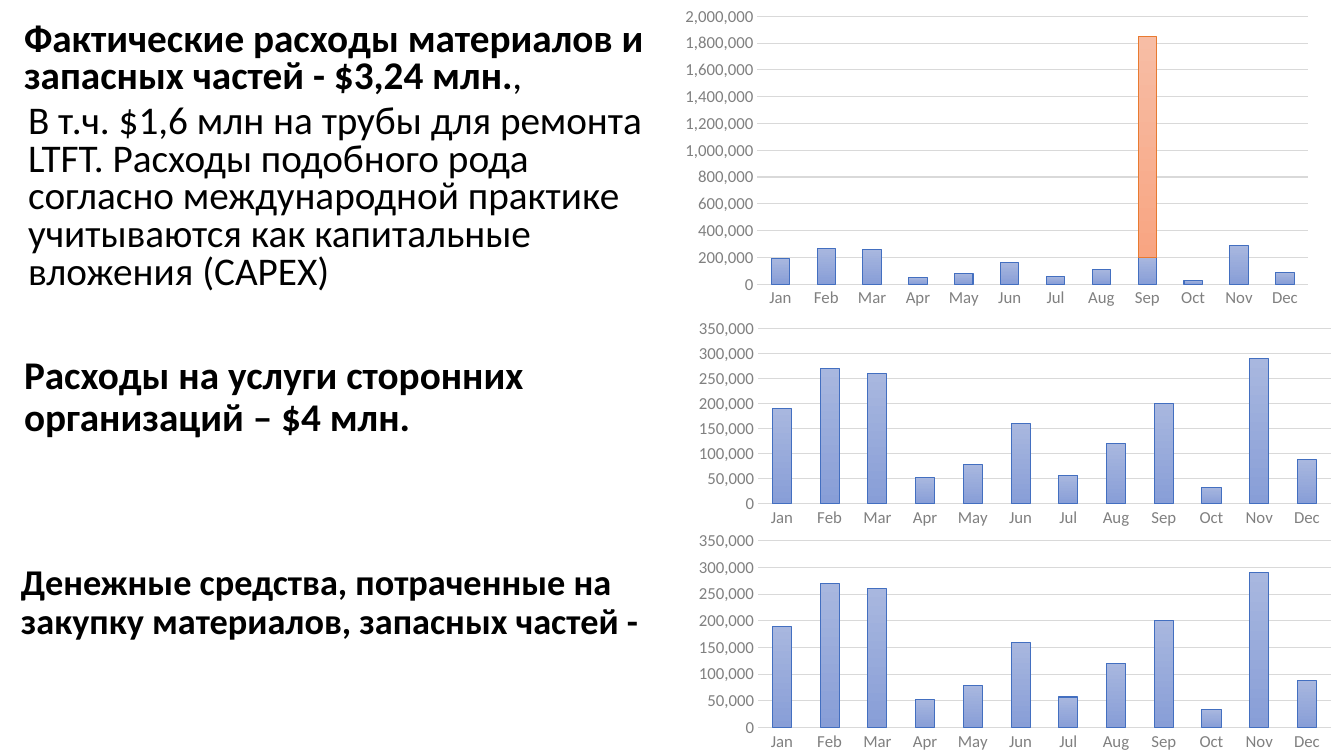
"""Build a slide of spending notes beside three monthly cost charts."""
from pptx import Presentation
from pptx.chart.data import CategoryChartData
from pptx.dml.color import RGBColor
from pptx.enum.chart import XL_CHART_TYPE, XL_TICK_MARK
from pptx.util import Inches, Pt

FONT = "Calibri"
COLORS = {"text": "000000", "label": "808080", "grid": "D9D9D9", "page": "FFFFFF"}
BAR_COLORS = [("A8B7DF", "889ED7", "436FC0"), ("F7BDA5", "F8A582", "E87A30")]
MONTHS = "Jan Feb Mar Apr May Jun Jul Aug Sep Oct Nov Dec".split()


def style_font(font, size, color, bold=False):
    font.name, font.size, font.bold = FONT, Pt(size), bold
    font.color.rgb = RGBColor.from_string(COLORS[color])


def style_line(line, color):
    line.color.rgb = RGBColor.from_string(color)
    line.width = Pt(0.75)


prs = Presentation()
prs.slide_width, prs.slide_height = Inches(13.33), Inches(7.5)
slide = prs.slides.add_slide(prs.slide_layouts[6])
slide.background.fill.solid()
slide.background.fill.fore_color.rgb = RGBColor.from_string(COLORS["page"])

materials = [
    (10, 0, [("Фактические расходы материалов и запасных частей - $3,24 млн.", True), (",", False)]),
    (5, 0.04, [("В т.ч. $1,6 млн на трубы для ремонта LTFT. Расходы подобного рода согласно "
                "международной практике учитываются как капитальные вложения (CAPEX)", False)]),
]
services = [(10, 0, [("Расходы на услуги сторонних организаций – $4 млн.", True)])]
purchases = [(10, 0, [("Денежные средства, потраченные на закупку материалов, запасных частей -", True)])]

notes = [
    ((0.14, 0.17, 6.53, 2.95), 28, 0.8, materials),
    ((0.14, 3.48, 5.51, 1), 28, 0.9, services),
    ((0.11, 5.55, 6.69, 1.14), 25.9, 0.9, purchases),
]
for box, size, spacing, paragraphs in notes:
    frame = slide.shapes.add_textbox(*map(Inches, box)).text_frame
    frame.word_wrap = True
    for index, (before, indent, runs) in enumerate(paragraphs):
        paragraph = frame.add_paragraph() if index else frame.paragraphs[0]
        paragraph.line_spacing, paragraph.space_before = spacing, Pt(before)
        if indent:
            paragraph.level = 1
            properties = paragraph._p.get_or_add_pPr()
            properties.set("marL", str(Inches(indent)))
            properties.set("indent", "0")
        for text, bold in runs:
            run = paragraph.add_run()
            run.text = text
            style_font(run.font, size, "text", bold)

rounded_costs = [190, 270, 260, 50, 80, 160, 60, 110, 200, 30, 290, 90]
monthly_costs = [190, 270, 260, 52, 79, 160, 57, 120, 200, 33, 290, 88]
pipe_costs = [1650 if month == "Sep" else 0 for month in MONTHS]

charts = [
    ((6.67, 0, 6.43, 3.12), 2000, 200, [rounded_costs, pipe_costs]),
    ((6.8, 3.12, 6.53, 2.16), 350, 50, [monthly_costs]),
    ((6.8, 5.22, 6.53, 2.28), 350, 50, [monthly_costs]),
]
for box, top, step, series_thousands in charts:
    data = CategoryChartData(number_format="#,##0")
    data.categories = MONTHS
    for number, thousands in enumerate(series_thousands, 1):
        data.add_series(f"Series {number}", [value * 1000 for value in thousands])
    chart = slide.shapes.add_chart(XL_CHART_TYPE.COLUMN_STACKED, *map(Inches, box), data).chart
    chart.has_legend = chart.has_title = False
    style_font(chart.font, 10, "text")

    plot = chart.plots[0]
    plot.gap_width, plot.overlap, plot.vary_by_categories = 150, 100, False
    for series, (start, end, outline) in zip(plot.series, BAR_COLORS):
        fill = series.format.fill
        fill.gradient()
        fill.gradient_angle = 270
        for stop, color in zip(fill.gradient_stops, (start, end)):
            stop.color.rgb = RGBColor.from_string(color)
        style_line(series.format.line, outline)

    months_axis, cost_axis = chart.category_axis, chart.value_axis
    for axis in (months_axis, cost_axis):
        axis.major_tick_mark = axis.minor_tick_mark = XL_TICK_MARK.NONE
        style_font(axis.tick_labels.font, 12, "label")
    style_line(months_axis.format.line, COLORS["grid"])
    cost_axis.format.line.fill.background()
    style_line(cost_axis.major_gridlines.format.line, COLORS["grid"])
    cost_axis.minimum_scale, cost_axis.maximum_scale = 0, top * 1000
    cost_axis.major_unit = step * 1000
    cost_axis.tick_labels.number_format = "#,##0"
    cost_axis.tick_labels.number_format_is_linked = False

prs.save("out.pptx")
